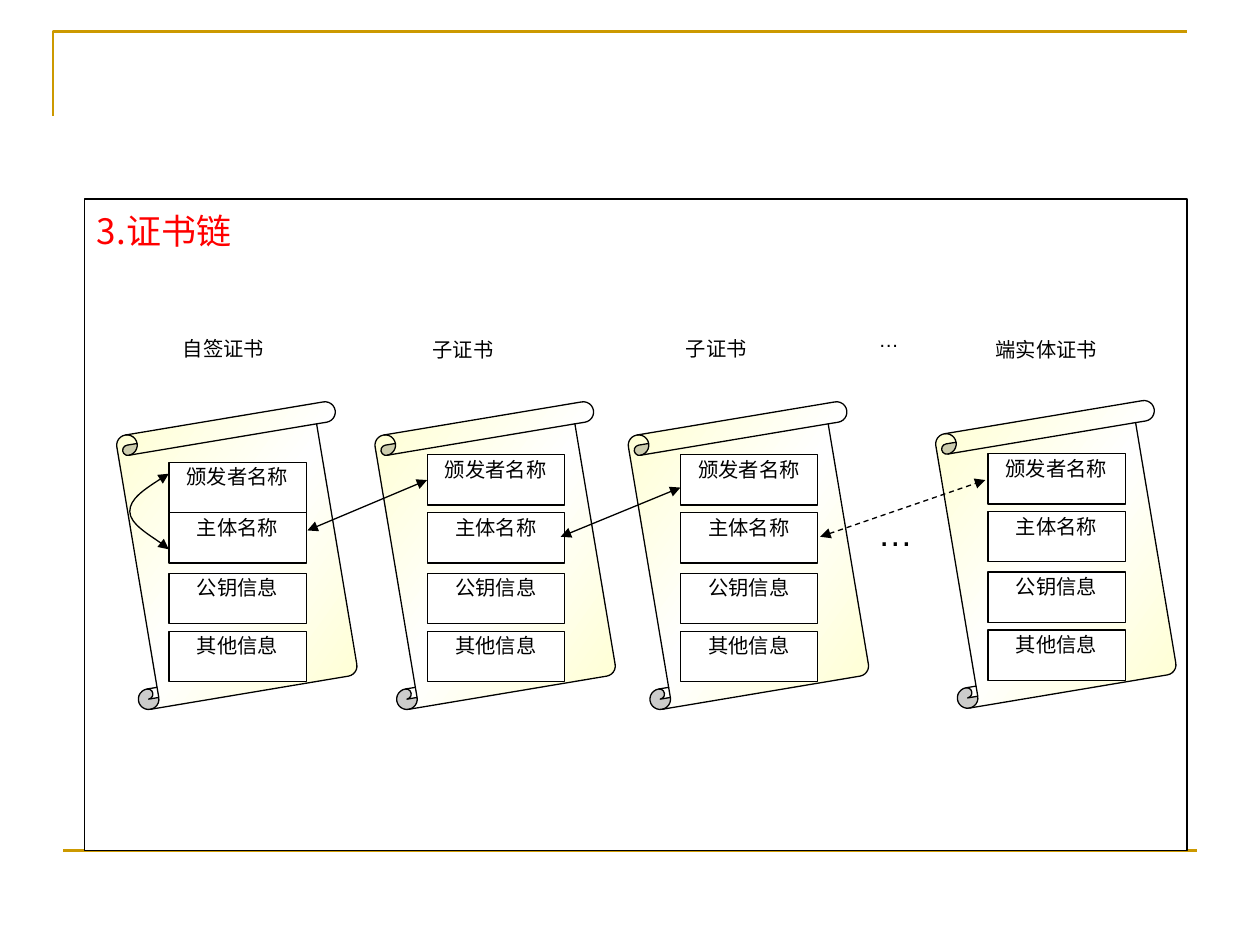
from lxml import etree
from copy import deepcopy
from pptx import Presentation
from pptx.dml.color import RGBColor
from pptx.enum.dml import MSO_LINE
from pptx.enum.shapes import MSO_CONNECTOR, MSO_SHAPE
from pptx.enum.text import MSO_ANCHOR, PP_ALIGN
from pptx.oxml.ns import qn
from pptx.util import Inches, Pt

RECTANGLE = MSO_SHAPE.RECTANGLE
SCROLL = MSO_SHAPE.VERTICAL_SCROLL
STRAIGHT = MSO_CONNECTOR.STRAIGHT
DASH = MSO_LINE.DASH
TOP = MSO_ANCHOR.TOP
CENTER, JUSTIFY = PP_ALIGN.CENTER, PP_ALIGN.JUSTIFY
LEFT_SIDE = 1

COLORS = {"gold": "CC9900", "black": "000000", "white": "FFFFFF",
          "red": "FF0000", "cream": "FFFFCC"}
LATIN_FONT, CJK_FONT = "Arial", "Noto Sans CJK SC"

FIELDS = ["颁发者名称", "主体名称", "公钥信息", "其他信息"]
FIELD_OFFSETS = [0.29, 0.75, 1.23, 1.69]
SELF_SIGNED_OFFSETS = [0.35] + FIELD_OFFSETS[1:]
CERTIFICATES = [
    (0.92, 3.32, SELF_SIGNED_OFFSETS),
    (2.97, 3.32, FIELD_OFFSETS),
    (4.98, 3.32, FIELD_OFFSETS),
    (7.42, 3.31, FIELD_OFFSETS),
]
HEADINGS = [
    ("自签证书", 1.23, 2.65, 1.09),
    ("子证书", 3.13, 2.66, 1.09),
    ("子证书", 5.14, 2.65, 1.09),
    ("端实体证书", 7.67, 2.66, 1.27),
    ("…", 6.51, 2.58, 1.09),
]


def rgb(name):
    return RGBColor.from_string(COLORS[name])


def style_line(line, color="black", width=0.75):
    line.color.rgb = rgb(color)
    line.width = Pt(width)


def add_arrowheads(shape):
    line = shape.line._get_or_add_ln()
    for end in ("a:headEnd", "a:tailEnd"):
        etree.SubElement(line, qn(end), type="triangle")


def add_box(slide, left, top, width, height, outlined=True):
    box = slide.shapes.add_shape(RECTANGLE, Inches(left), Inches(top),
                                 Inches(width), Inches(height))
    box.shadow.inherit = False
    box.fill.solid()
    box.fill.fore_color.rgb = rgb("white")
    if outlined:
        style_line(box.line)
    else:
        box.line.fill.background()
    return box


def write_text(box, text, align=CENTER, spacing=0.8, color="black",
               font=LATIN_FONT, raised=True):
    frame = box.text_frame
    frame.word_wrap = True
    frame.vertical_anchor = TOP
    paragraph = frame.paragraphs[0]
    paragraph.text = text
    paragraph.alignment = align
    paragraph.line_spacing = spacing
    run = paragraph.runs[0]
    run.font.size = Pt(20)
    run.font.name = font
    run.font.color.rgb = rgb(color)
    properties = run.font._element
    etree.SubElement(properties, qn("a:ea"), typeface=CJK_FONT)
    if raised:
        properties.set("baseline", "30000")
    return paragraph


def add_outline(slide, points, color, width):
    start, *rest = [(Inches(x), Inches(y)) for x, y in points]
    builder = slide.shapes.build_freeform(*start)
    builder.add_line_segments(rest, close=False)
    outline = builder.convert_to_shape()
    outline.shadow.inherit = False
    outline.fill.background()
    style_line(outline.line, color, width)
    return outline


def add_curve(slide, points):
    curve = add_outline(slide, points, "black", 0.75)
    segments = list(curve._element.iter(qn("a:lnTo")))
    outline = segments[0].getparent()
    for first in range(0, len(segments), 3):
        bezier = etree.SubElement(outline, qn("a:cubicBezTo"))
        for segment in segments[first:first + 3]:
            bezier.append(segment[0])
            outline.remove(segment)
    add_arrowheads(curve)


def add_line(slide, start, end, color="black", width=0.75):
    line = slide.shapes.add_connector(
        STRAIGHT, *(Inches(value) for value in (*start, *end)))
    style_line(line.line, color, width)
    etree.SubElement(line._element.spPr, qn("a:effectLst"))
    return line


def add_arrow(slide, start, end, dashed=False):
    arrow = add_line(slide, start, end)
    if dashed:
        arrow.line.dash_style = DASH
    add_arrowheads(arrow)
    return arrow


def add_scroll(slide, left, top):
    scroll = slide.shapes.add_shape(SCROLL, Inches(left), Inches(top),
                                    Inches(1.92), Inches(2.18))
    scroll.shadow.inherit = False
    scroll.adjustments[0] = 0.085
    scroll.rotation = 350.5
    style_line(scroll.line)
    scroll.fill.gradient()
    scroll.fill.gradient_angle = 315
    stop_list = scroll._element.spPr.find(qn("a:gradFill")).find(qn("a:gsLst"))
    stop_list.insert(1, deepcopy(stop_list[0]))
    tones = [(0, "cream"), (0.5, "white"), (1, "cream")]
    for stop, (position, tone) in zip(scroll.fill.gradient_stops, tones):
        stop.position = position
        stop.color.rgb = rgb(tone)


def add_certificate(slide, left, top, offsets):
    add_scroll(slide, left, top)
    fields = []
    for name, offset in zip(FIELDS, offsets):
        field = add_box(slide, left + 0.42, top + offset, 1.09, 0.4)
        write_text(field, name)
        fields.append(field)
    return fields


def main():
    prs = Presentation()
    prs.slide_width, prs.slide_height = Inches(10), Inches(7.5)
    slide = prs.slides.add_slide(prs.slide_layouts[6])

    add_outline(slide, [(0.42, 0.92), (0.42, 0.25), (9.42, 0.25)], "gold", 1.5)
    add_line(slide, (0.5, 6.75), (9.5, 6.75), "gold", 1.5)

    panel = add_box(slide, 0.67, 1.58, 8.75, 5.17)
    title = write_text(panel, "3.证书链", JUSTIFY, 1.1, "red", CJK_FONT, False)
    indents = title._p.get_or_add_pPr()
    indents.set("marL", str(Inches(0.38)))
    indents.set("indent", str(Inches(-0.38)))

    certificates = [add_certificate(slide, *place) for place in CERTIFICATES]

    omitted = add_box(slide, 6.87, 4.01, 0.63, 0.8, outlined=False)
    write_text(omitted, "…", JUSTIFY, 1.0, raised=False)

    first_issue = add_arrow(slide, (2.44, 4.21), (3.39, 3.81))
    first_issue.end_connect(certificates[1][0], LEFT_SIDE)
    add_arrow(slide, (4.45, 4.26), (5.4, 3.87))
    add_arrow(slide, (6.51, 4.26), (7.82, 3.81), dashed=True)
    add_curve(slide, [(1.34, 3.76), (1.18, 3.86), (1.03, 3.96), (1.03, 4.06),
                      (1.03, 4.16), (1.29, 4.31), (1.34, 4.36)])

    for name, left, top, width in HEADINGS:
        heading = add_box(slide, left, top, width, 0.4, outlined=False)
        write_text(heading, name)

    prs.save("out.pptx")


if __name__ == "__main__":
    main()
